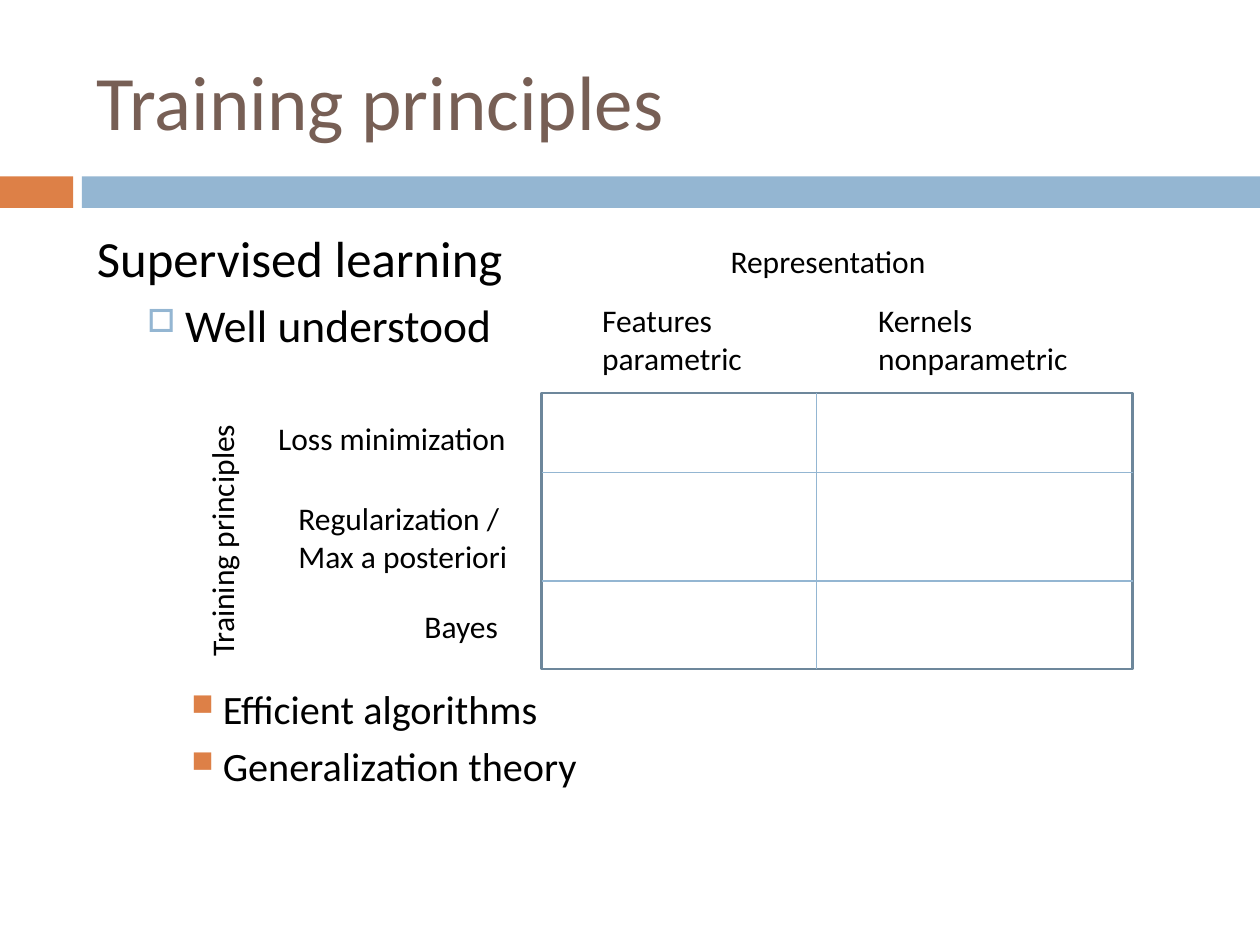
from lxml import etree
from pptx import Presentation
from pptx.dml.color import RGBColor
from pptx.enum.shapes import MSO_CONNECTOR, MSO_SHAPE
from pptx.enum.text import MSO_ANCHOR
from pptx.oxml.ns import qn
from pptx.util import Inches, Pt

RECT, STRAIGHT = MSO_SHAPE.RECTANGLE, MSO_CONNECTOR.STRAIGHT
TOP, MIDDLE = MSO_ANCHOR.TOP, MSO_ANCHOR.MIDDLE
FONT = "Calibri"
BLACK, BROWN, ORANGE, BLUE, SLATE = "000000", "775F55", "DD8047", "94B6D2", "6D879B"

# Content
TITLE = "Training principles"
BODY = [  # text, size, space before, left margin, hanging, bullet (char, colour, size %)
    ("Supervised learning", 29, 7, 0.35, 0.35, None),
    ("Well understood", 26, 5.5, 0.7, 0.3, ("□", BLUE, 70)),
    ("Efficient algorithms", 23, 190, 1, 0.25, ("■", ORANGE, 75)),  # leaves room for the grid
    ("Generalization theory", 23, 5, 1, 0.25, ("■", ORANGE, 75)),
]
LABELS = [  # lines, left, top, width, rotation
    (["Representation"], 5.7, 1.87, 1.77, 0),
    (["Features", "parametric"], 4.68, 2.34, 1.32, 0),
    (["Kernels", "nonparametric"], 6.87, 2.34, 1.72, 0),
    (["Loss minimization"], 2.11, 3.28, 2.03, 0),
    (["Regularization /", "Max a posteriori"], 2.27, 3.91, 1.88, 0),
    (["Bayes"], 3.27, 4.77, 0.79, 0),
    (["Training principles"], 0.73, 4.08, 2.06, 270),
]
BANDS = [(0, 0.58, ORANGE), (0.65, 9.35, BLUE)]  # left, width, colour
COLS = [4.3, 6.48, 8.99]  # grid edges
ROWS = [3.12, 3.75, 4.61, 5.31]

prs = Presentation()
prs.slide_width, prs.slide_height = Inches(10), Inches(7.5)
s = prs.slides.add_slide(prs.slide_layouts[6])


def rgb(color):
    return RGBColor.from_string(color)


def add_rect(x, y, w, h, fill=None, line=None):
    sp = s.shapes.add_shape(RECT, *map(Inches, (x, y, w, h)))
    sp.shadow.inherit = False
    if fill:
        sp.fill.solid()
        sp.fill.fore_color.rgb = rgb(fill)
    else:
        sp.fill.background()
    if line:
        sp.line.color.rgb, sp.line.width = rgb(line), Pt(1.5)
    else:
        sp.line.fill.background()


def add_line(x1, y1, x2, y2):
    line = s.shapes.add_connector(STRAIGHT, *map(Inches, (x1, y1, x2, y2)))
    line.line.color.rgb, line.line.width = rgb(BLUE), Pt(0.79)
    etree.SubElement(line._element.spPr, qn("a:effectLst"))


def add_text(lines, x, y, w, h, size, color=BLACK, wrap=True, anchor=TOP):
    box = s.shapes.add_textbox(*map(Inches, (x, y, w, h)))
    tf = box.text_frame
    tf.word_wrap, tf.vertical_anchor = wrap, anchor
    tf.text = "\n".join(lines)
    for p in tf.paragraphs:
        font = p.runs[0].font
        for name, value in {"name": FONT, "size": Pt(size)}.items():
            setattr(font, name, value)
        font.color.rgb = rgb(color)
    return box


def add_bullet(pPr, char, color, percent):
    clr = etree.SubElement(pPr, qn("a:buClr"))
    etree.SubElement(clr, qn("a:srgbClr"), val=color)
    etree.SubElement(pPr, qn("a:buSzPct"), val=str(percent * 1000))
    etree.SubElement(pPr, qn("a:buChar"), char=char)


# Header
for left, width, color in BANDS:
    add_rect(left, 1.4, width, 0.25, fill=color)
add_text([TITLE], 0.67, 0.25, 8.92, 1.08, 44, BROWN, anchor=MIDDLE)

# Body outline
body = add_text([row[0] for row in BODY], 0.67, 1.75, 8.92, 4.92, 29)
for p, (_, size, before, margin, hang, bullet) in zip(body.text_frame.paragraphs, BODY):
    p.runs[0].font.size = Pt(size)
    p.space_before = Pt(before)
    pPr = p._p.get_or_add_pPr()
    pPr.set("marL", str(Inches(margin)))
    pPr.set("indent", str(-Inches(hang)))
    if bullet:
        add_bullet(pPr, *bullet)

# Grid: frame and inner rules
left, right, top, bottom = COLS[0], COLS[-1], ROWS[0], ROWS[-1]
add_rect(left, top, right - left, bottom - top, line=SLATE)
for y in ROWS[1:-1]:
    add_line(left, y, right, y)
for x in COLS[1:-1]:
    add_line(x, top, x, bottom)

# Grid labels
for lines, x, y, w, rotation in LABELS:
    label = add_text(lines, x, y, w, 0.1 + 0.3 * len(lines), 18, wrap=False)
    label.rotation = rotation

prs.save("out.pptx")
